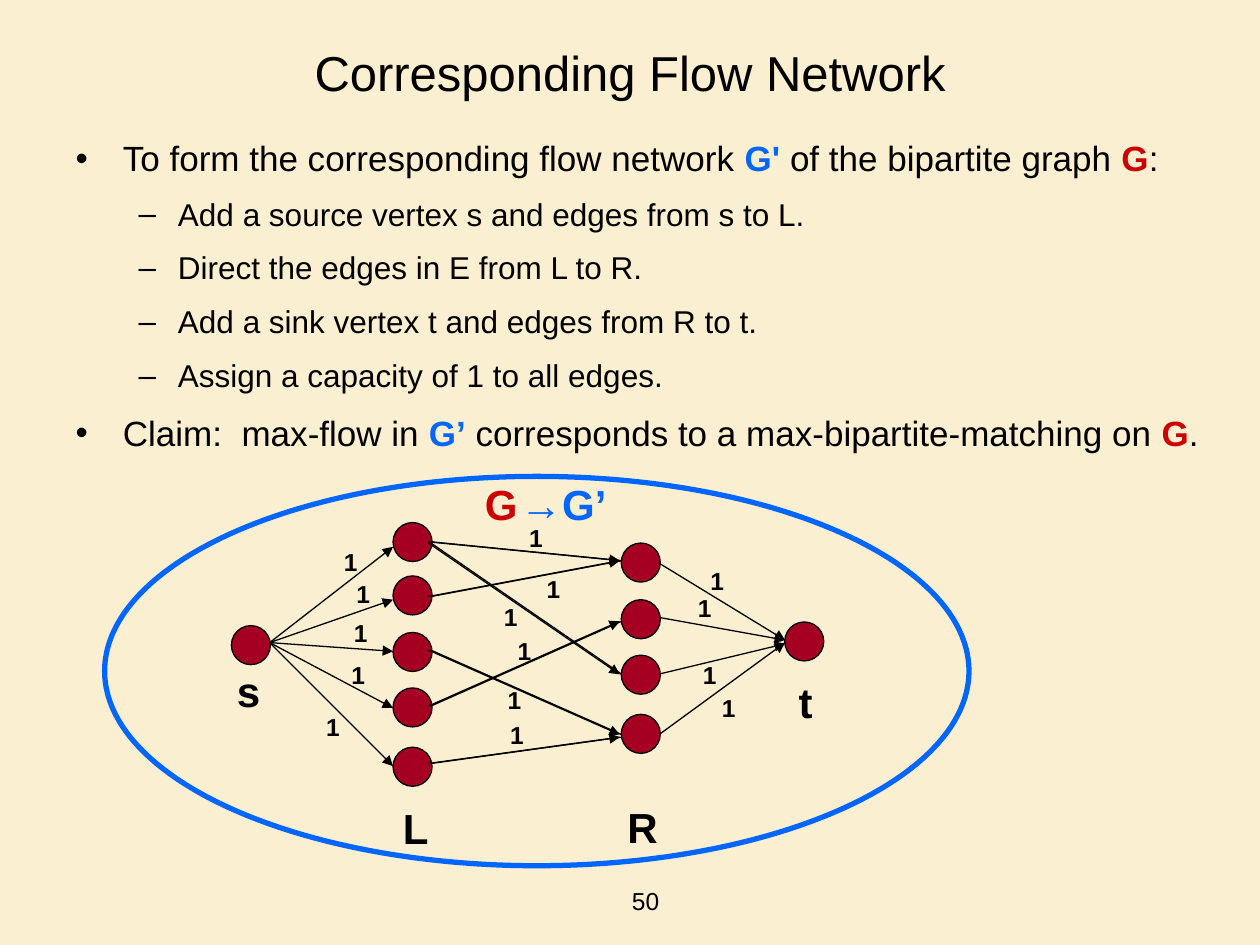
from dataclasses import dataclass

from lxml import etree
from pptx import Presentation
from pptx.dml.color import RGBColor
from pptx.enum.shapes import MSO_CONNECTOR, MSO_SHAPE
from pptx.enum.text import MSO_ANCHOR, MSO_AUTO_SIZE, PP_ALIGN
from pptx.oxml.ns import qn
from pptx.util import Pt

LINE = MSO_CONNECTOR.STRAIGHT
OVAL = MSO_SHAPE.OVAL
LEFT, CENTER, RIGHT = PP_ALIGN.LEFT, PP_ALIGN.CENTER, PP_ALIGN.RIGHT


@dataclass(frozen=True)
class Theme:
    font: str = "Arial"
    paper: RGBColor = RGBColor(0xFB, 0xEF, 0xD1)
    ink: RGBColor = RGBColor(0, 0, 0)
    red: RGBColor = RGBColor(0xCC, 0, 0)
    blue: RGBColor = RGBColor(0, 0x66, 0xFF)
    node: RGBColor = RGBColor(0xA5, 0, 0x21)
    title: int = 28
    body: int = 20
    sub: int = 18
    name: int = 24
    small: int = 14


T = Theme()


def add_run(p, text, size, color=T.ink, bold=False):
    r = p.add_run()
    r.text = text
    r.font.name, r.font.size, r.font.bold = T.font, Pt(size), bold
    r.font.color.rgb = color


def add_edge(x1, y1, x2, y2, arrow=True):
    c = s.shapes.add_connector(LINE, Pt(x1), Pt(y1), Pt(x2), Pt(y2))
    c.line.color.rgb, c.line.width = T.ink, Pt(0.75)
    if arrow:
        etree.SubElement(c.line._get_or_add_ln(), qn("a:tailEnd"), type="triangle")
    etree.SubElement(c._element.spPr, qn("a:effectLst"))


prs = Presentation()
prs.slide_width, prs.slide_height = Pt(720), Pt(540)
s = prs.slides.add_slide(prs.slide_layouts[1])
s.background.fill.solid()
s.background.fill.fore_color.rgb = T.paper

# Title
title, body = s.placeholders
title.left, title.top, title.width, title.height = Pt(36), Pt(21.4), Pt(648), Pt(39.6)
tf = title.text_frame
tf.auto_size, tf.vertical_anchor = MSO_AUTO_SIZE.NONE, MSO_ANCHOR.MIDDLE
tf.paragraphs[0].alignment = CENTER
add_run(tf.paragraphs[0], "Corresponding Flow Network", T.title)

# Bulleted list: level, then runs of text, color, bold
plain, blue, red = (T.ink, False), (T.blue, True), (T.red, True)
items = [
    (0, [("To form the corresponding flow network ", plain), ("G'", blue),
         (" of the bipartite graph ", plain), ("G", red), (":", plain)]),
    (1, [("Add a source vertex s and edges from s to L.", plain)]),
    (1, [("Direct the edges in E from L to R.", plain)]),
    (1, [("Add a sink vertex t and edges from R to t.", plain)]),
    (1, [("Assign a capacity of 1 to all edges.", plain)]),
    (0, [("Claim:  max-flow in ", plain), ("G’", blue),
         (" corresponds to a max-bipartite-matching on ", plain), ("G", red), (".", plain)]),
]
# Per level: size, space before, margin, indent, bullet
levels = [(T.body, 12.5, 27, -27, "•"), (T.sub, 11.25, 58.5, -22.5, "–")]
body.left, body.top, body.width, body.height = Pt(36), Pt(77.2), Pt(660), Pt(189.4)
tf = body.text_frame
tf.auto_size = MSO_AUTO_SIZE.NONE
for i, (level, runs) in enumerate(items):
    size, before, margin, indent, bullet = levels[level]
    p = tf.add_paragraph() if i else tf.paragraphs[0]
    p.level, p.line_spacing, p.space_before = level, 0.9, Pt(before)
    pPr = p._p.get_or_add_pPr()
    pPr.set("marL", str(Pt(margin)))
    pPr.set("indent", str(Pt(indent)))
    clr = etree.SubElement(pPr, qn("a:buClr"))
    etree.SubElement(clr, qn("a:srgbClr"), val=str(T.ink))
    etree.SubElement(pPr, qn("a:buChar"), char=bullet)
    for text, (color, bold) in runs:
        add_run(p, text, size, color, bold)

# Vertices: L, R, source and sink
D = 22.3
vertices = [(224.6, y) for y in (298.6, 329.1, 361.4, 393.1, 427)]
vertices += [(355, y) for y in (310.3, 342.7, 374.4, 408.2)]
vertices += [(132.2, 357.5), (448.4, 355.4)]
for x, y in vertices:
    sp = s.shapes.add_shape(OVAL, Pt(x), Pt(y), Pt(D), Pt(D))
    sp.shadow.inherit = False
    sp.fill.solid()
    sp.fill.fore_color.rgb = T.node
    sp.line.color.rgb, sp.line.width = T.ink, Pt(0.75)

# Edges L to R: plain graph edges, then directed ones just to the left
graph_edges = [(309.6, 320.4), (310.3, 385.4), (403.5, 355),
               (436.3, 421.2), (340.9, 320.4), (371.5, 419.8)]
for x1, x2, arrow in ((246.2, 355.4, False), (244.8, 354.2, True)):
    for y1, y2 in graph_edges:
        add_edge(x1, y1, x2, y2, arrow)

# Edges s to L and R to t
for y in (312.5, 342.7, 372.2, 404.6, 437.8):
    add_edge(154.1, 367.2, 224.6, y)
for y1, y2 in ((321.8, 365.8), (352.8, 365.8), (385.2, 367.9), (419.8, 367.2)):
    add_edge(376.6, y1, 448.6, y2)

# Ellipse around G'
ring = s.shapes.add_shape(OVAL, Pt(59.8), Pt(272.2), Pt(493.9), Pt(222.5))
ring.shadow.inherit = False
ring.fill.background()
ring.line.color.rgb, ring.line.width = T.blue, Pt(3)

# Labels: text, left, top, width, height, size, color, bold, alignment
labels = [(text, x, y, w, 36, T.name, color, True, LEFT) for text, x, y, w, color in (
    ("s", 128.2, 376.6, 27.4, T.ink),
    ("L", 223.2, 455, 28.8, T.ink),
    ("R", 351.4, 454.3, 31.7, T.ink),
    ("t", 449.3, 383, 22.3, T.ink),
    ("G", 270, 270, 33.1, T.red),
    ("→G’", 290.2, 270, 80, T.blue),
)]
capacity_spots = [
    (189.4, 308.9), (196.6, 327.6), (195.1, 349.9), (193.7, 373.7), (179.3, 403.2),
    (295.2, 295.2), (305.3, 324.7), (280.8, 340.6), (288.7, 360), (283, 388.1),
    (284.4, 408.2), (405.4, 392.4), (394.6, 373.7), (391.7, 335.5), (398.9, 319.7),
]
labels += [("1", x, y, 22.3, 24.5, T.small, T.ink, True, LEFT) for x, y in capacity_spots]
labels.append(("50", 347.8, 502.6, 36, 31.7, T.small, T.ink, False, RIGHT))
for text, x, y, w, h, size, color, bold, align in labels:
    tf = s.shapes.add_textbox(Pt(x), Pt(y), Pt(w), Pt(h)).text_frame
    tf.word_wrap = True
    tf.paragraphs[0].alignment = align
    add_run(tf.paragraphs[0], text, size, color, bold)

prs.save("out.pptx")
